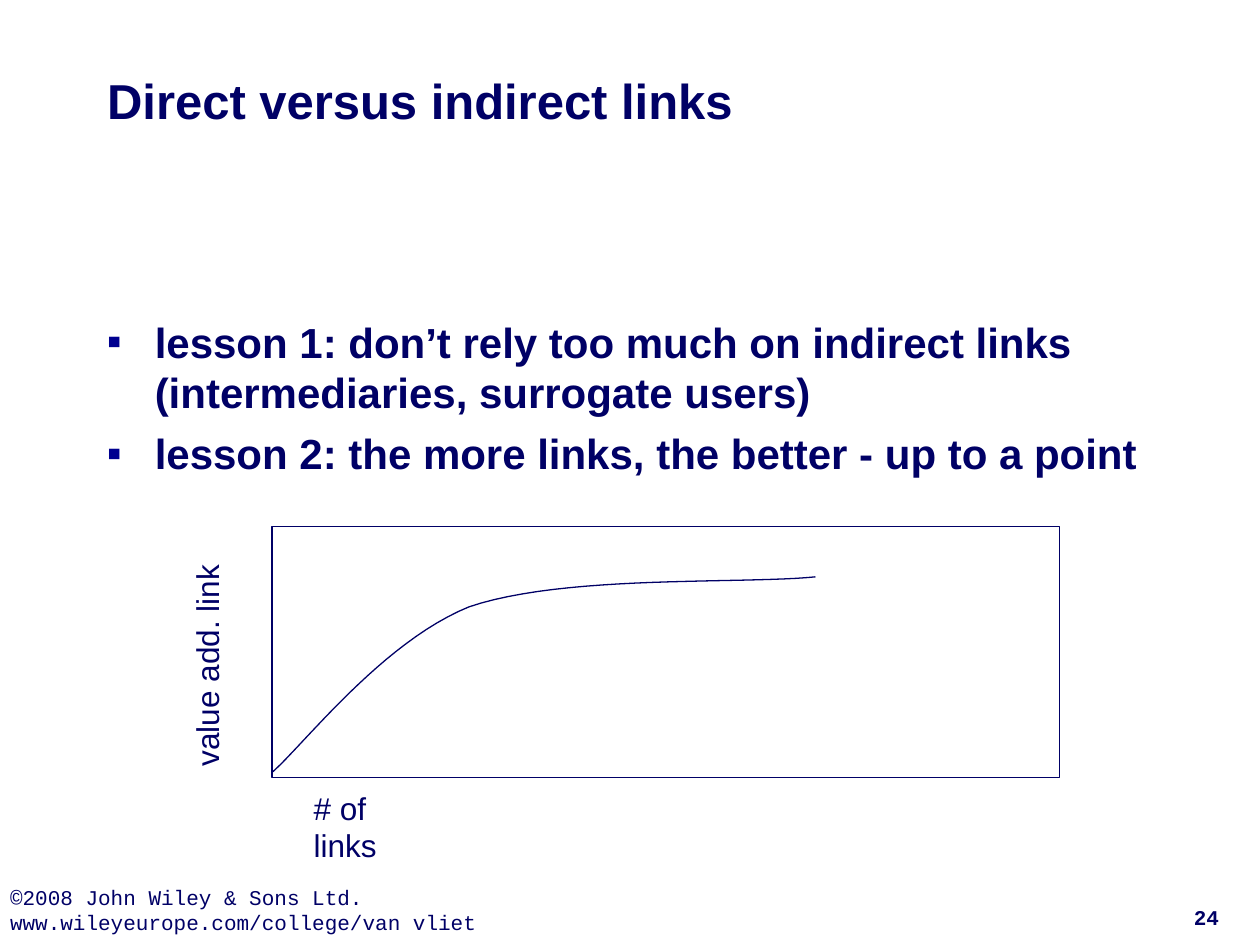
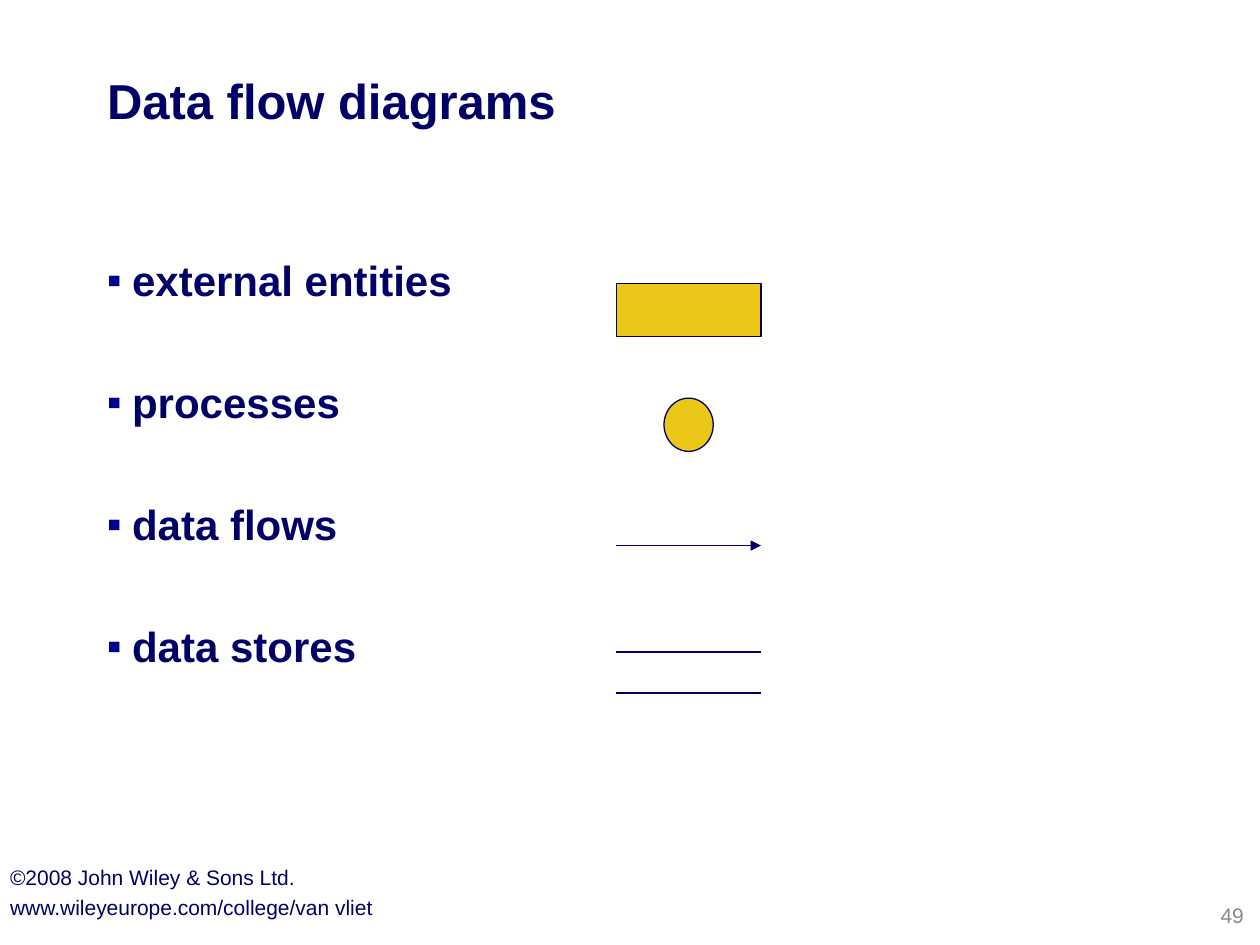
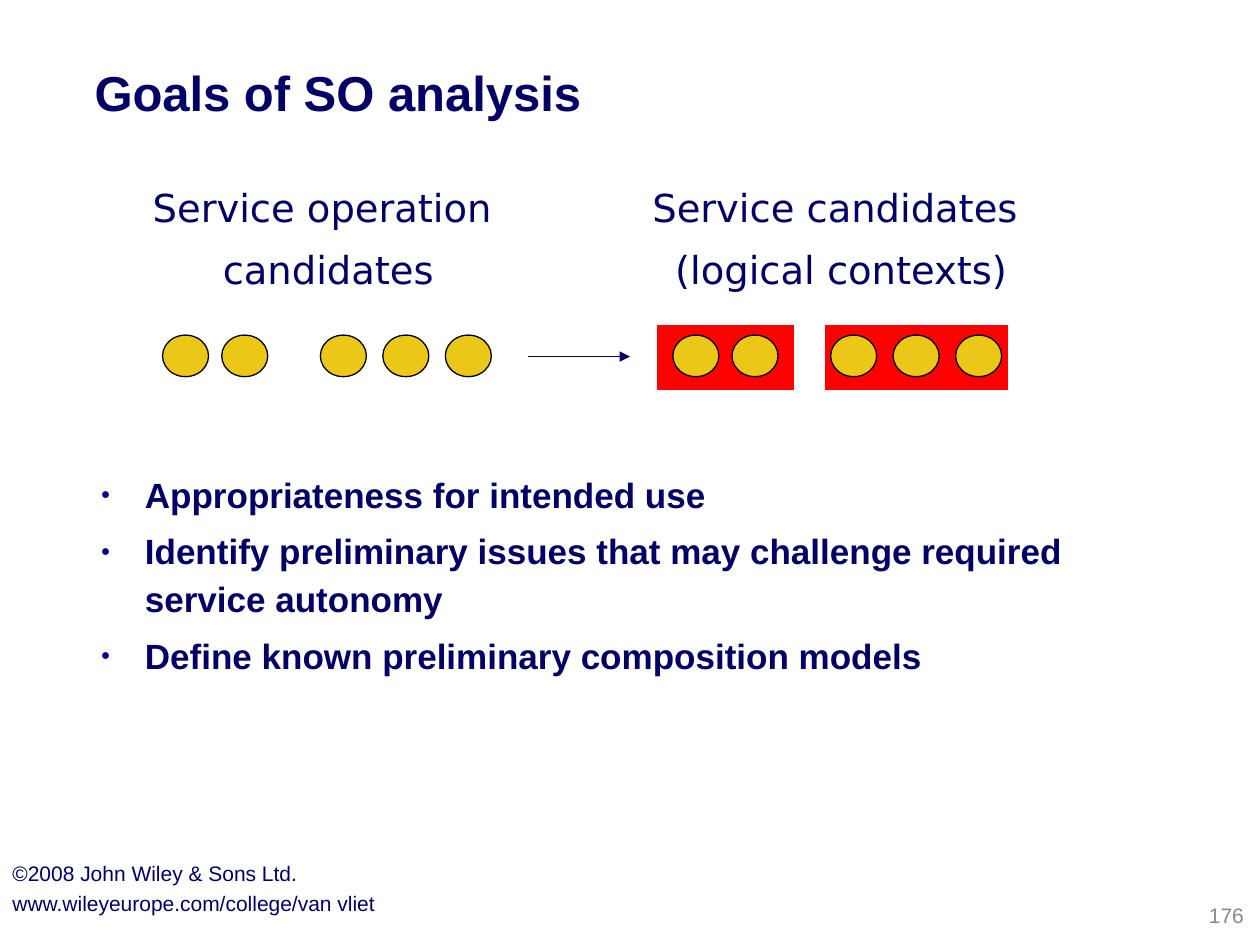
import lxml.etree
import pptx
import pptx.dml.color
import pptx.enum.shapes
import pptx.enum.text
import pptx.oxml.ns
import pptx.util

WIDE, HIGH = 10, 7.5
INK = {"navy": "000066", "mark": "000090", "gold": "EBC817", "red": "FF0000",
       "gray": "898989", "black": "000000", "white": "FFFFFF"}
QN = pptx.oxml.ns.qn
FORM = pptx.enum.shapes.MSO_SHAPE
ALIGN = pptx.enum.text.PP_ALIGN
MID = pptx.enum.text.MSO_ANCHOR.MIDDLE
LOW = pptx.enum.text.MSO_ANCHOR.BOTTOM
HEAD = (0.75, 0.17, 8.5, 1.25)
BODY = (0.75, 1.97, 8.58, 4.78)
PAGE = (9.18, 7.14, 0.79, 0.24)
TEXT = {"name": "Arial", "size": 12, "bold": False, "ink": "navy"}
BOLD = {**TEXT, "size": 24, "bold": True}
NOTICE = ["©2008 John Wiley & Sons Ltd.", "www.wileyeurope.com/college/van vliet"]


def color(name):
    """Return the named colour."""
    return pptx.dml.color.RGBColor.from_string(INK[name])


def inch(*vals):
    """Turn inches into lengths."""
    return [pptx.util.Inches(val) for val in vals]


def part(box, left, top, wide=0, high=0):
    """Return the part of a box given by shares of its size."""
    x, y, w, h = box
    return x + left * w, y + top * h, wide * w, high * h


def put(item, vals):
    """Set attributes from a dict."""
    for key, val in vals.items():
        setattr(item, key, val)


def mark(para, sign, scale):
    """Give a paragraph a bullet."""
    props = para._p.get_or_add_pPr()
    tint = lxml.etree.SubElement(props, QN("a:buClr"))
    lxml.etree.SubElement(tint, QN("a:srgbClr"), val=INK["mark"])
    lxml.etree.SubElement(props, QN("a:buSzPct"), val=str(scale * 1000))
    lxml.etree.SubElement(props, QN("a:buFont"), typeface="Arial")
    lxml.etree.SubElement(props, QN("a:buChar"), char=sign)


def write(shape, lines, font=TEXT, pad=(0.1, 0.05), wrap=True, anchor=None,
          gap=0, hang=None, sign=None, scale=100, space=None, align=ALIGN.LEFT):
    """Fill a shape with formatted paragraphs."""
    frame = shape.text_frame
    side, edge = inch(*pad)
    put(frame, {"margin_left": side, "margin_right": side, "margin_top": edge,
                "margin_bottom": edge, "word_wrap": wrap, "vertical_anchor": anchor})
    for row, line in enumerate(lines):
        para = frame.paragraphs[0] if row == 0 else frame.add_paragraph()
        if sign:
            mark(para, sign, scale)
        if hang:
            props = para._p.get_or_add_pPr()
            for key, val in zip(("marL", "indent"), inch(*hang)):
                props.set(key, str(val))
        put(para, {"alignment": align, "line_spacing": space,
                   "space_before": pptx.util.Pt(gap if row else 0)})
        run = para.add_run()
        run.text = line
        put(run.font, {"name": font["name"], "bold": font["bold"],
                       "size": pptx.util.Pt(font["size"])})
        run.font.color.rgb = color(font["ink"])


def label(slide, box, lines, **style):
    """Add a text box."""
    shape = slide.shapes.add_textbox(*inch(*box))
    write(shape, lines, **style)
    return shape


def trim(shape, fill=None, line="navy"):
    """Set the fill and outline of a shape."""
    shape.shadow.inherit = False
    if fill:
        shape.fill.solid()
        shape.fill.fore_color.rgb = color(fill)
    else:
        shape.fill.background()
    shape.line.color.rgb = color(line)
    shape.line.width = pptx.util.Pt(0.75)


def block(slide, form, box, fill=None, line="navy"):
    """Add a preset shape."""
    trim(slide.shapes.add_shape(form, *inch(*box)), fill, line)


def rule(slide, box, arrow=False):
    """Add a level line along the top of a box."""
    x, y, w, _ = box
    kind = pptx.enum.shapes.MSO_CONNECTOR.STRAIGHT
    link = slide.shapes.add_connector(kind, *inch(x, y, x + w, y))
    link.line.color.rgb = color("navy")
    link.line.width = pptx.util.Pt(0.75)
    lxml.etree.SubElement(link._element.spPr, QN("a:effectLst"))
    if arrow:
        lxml.etree.SubElement(link.line._get_or_add_ln(), QN("a:tailEnd"), type="triangle")


def start(deck, title, **style):
    """Add a slide with its title."""
    slide = deck.slides.add_slide(deck.slide_layouts[5])
    shape = slide.shapes.title
    put(shape, dict(zip(("left", "top", "width", "height"), inch(*HEAD))))
    write(shape, [title], font={**BOLD, "size": 28}, anchor=MID, **style)
    return slide


def foot(slide, number, pad):
    """Add the notice and a gray page number."""
    label(slide, (0, 6.78, 6.58, 0.72), NOTICE, pad=pad, gap=3)
    label(slide, PAGE, [number], font={**TEXT, "ink": "gray"}, anchor=MID, align=ALIGN.RIGHT)


def curve(slide, box):
    """Draw the flattening curve inside a plot box."""
    knots = [(0, 0.98), (0.04, 0.87), (0.14, 0.46), (0.25, 0.32),
             (0.37, 0.19), (0.6, 0.23), (0.69, 0.2)]
    dots = []
    for first in (0, 3):
        for step in range(25):
            t = step / 24
            mix = ((1 - t) ** 3, 3 * t * (1 - t) ** 2, 3 * t * t * (1 - t), t ** 3)
            share = [sum(m * k[axis] for m, k in zip(mix, knots[first:first + 4]))
                     for axis in (0, 1)]
            dots.append(inch(*part(box, *share)[:2]))
    path = slide.shapes.build_freeform(*dots[0], scale=1.0)
    path.add_line_segments(dots[1:], close=False)
    trim(path.convert_to_shape())


def plot(slide, box):
    """Draw the framed curve and its axis labels."""
    block(slide, FORM.RECTANGLE, box)
    curve(slide, box)
    font = {**TEXT, "size": 18}
    x, y, _, h = box
    label(slide, (x + 0.23, y + h + 0.04, 1.18, 0.4), ["# of links"], font=font, wrap=False)
    side = label(slide, (x - 1.42, y + 0.9, 1.8, 0.4), ["value add. link"], font=font, wrap=False)
    side.rotation = 270


def links(deck):
    """Build the slide on direct and indirect links."""
    slide = start(deck, "Direct versus indirect links")
    mono = {**TEXT, "name": "Courier New"}
    label(slide, (0, 6.94, 6.14, 0.56), NOTICE, font=mono, pad=(0.08, 0.08))
    label(slide, PAGE, ["24"], font={**mono, "bold": True}, pad=(0, 0),
          anchor=LOW, align=ALIGN.CENTER)
    x, y, w, h = BODY
    label(slide, (x, y + 0.49, w, h - 0.49),
          ["lesson 1: don’t rely too much on indirect links (intermediaries, surrogate users)",
           "lesson 2: the more links, the better - up to a point"],
          font=BOLD, gap=6, hang=(0.38, -0.38), sign="▪")
    plot(slide, (2.16, 4.18, 6.25, 1.99))


def signs(slide, box):
    """Draw the four diagram symbols."""
    block(slide, FORM.RECTANGLE, part(box, 0, 0, 1, 0.13), "gold")
    block(slide, FORM.OVAL, part(box, 0.33, 0.28, 0.34, 0.13), "gold")
    for top, arrow in ((0.64, True), (0.9, False), (1, False)):
        rule(slide, part(box, 0, top, 1), arrow)


def flows(deck):
    """Build the slide on data flow diagrams."""
    slide = start(deck, "Data flow diagrams")
    label(slide, BODY, ["external entities", "processes", "data flows", "data stores"],
          font=BOLD, gap=41, hang=(0.2, -0.2), sign="▪")
    signs(slide, (4.89, 2.25, 1.15, 3.25))
    foot(slide, "49", (0.08, 0.08))


def group(slide, box, frames=()):
    """Draw a row of candidates over optional red frames."""
    for left, wide in frames:
        block(slide, FORM.RECTANGLE, part(box, left, -0.27, wide, 1.61), "red", "white")
    for left in (0, 0.18, 0.48, 0.67, 0.86):
        block(slide, FORM.OVAL, part(box, left, 0, 0.14, 1), "gold", "black")


def goals(deck):
    """Build the slide on the goals of analysis."""
    slide = start(deck, "Goals of SO analysis", pad=(0, 0), space=0.62)
    label(slide, (0.75, 3.71, 8.58, 2.92),
          ["Appropriateness for intended use",
           "Identify preliminary issues that may challenge required service autonomy",
           "Define known preliminary composition models"],
          font={**BOLD, "size": 20}, pad=(0, 0), gap=5, hang=(0.4, -0.35),
          sign="●", scale=45, space=1.14)
    group(slide, (5.34, 2.66, 2.61, 0.33), [(0.46, 0.56), (-0.05, 0.42)])
    group(slide, (1.29, 2.66, 2.61, 0.33))
    rule(slide, (4.19, 2.83, 0.81, 0), True)
    heads = ((0.03, ["Service operation ", "candidates"]),
             (4.1, ["Service candidates ", "(logical contexts)"]))
    for left, lines in heads:
        label(slide, (left, 1.45, 5.05, 0.86), lines, pad=(0, 0), gap=8,
              font={**TEXT, "name": "DejaVu Sans", "size": 22},
              hang=(0.45, -0.35), space=1.04, align=ALIGN.CENTER)
    foot(slide, "176", (0.1, 0.05))


def main():
    """Build and save the slides."""
    deck = pptx.Presentation()
    deck.slide_width, deck.slide_height = inch(WIDE, HIGH)
    for build in (links, flows, goals):
        build(deck)
    deck.save("out.pptx")


if __name__ == "__main__":
    main()
